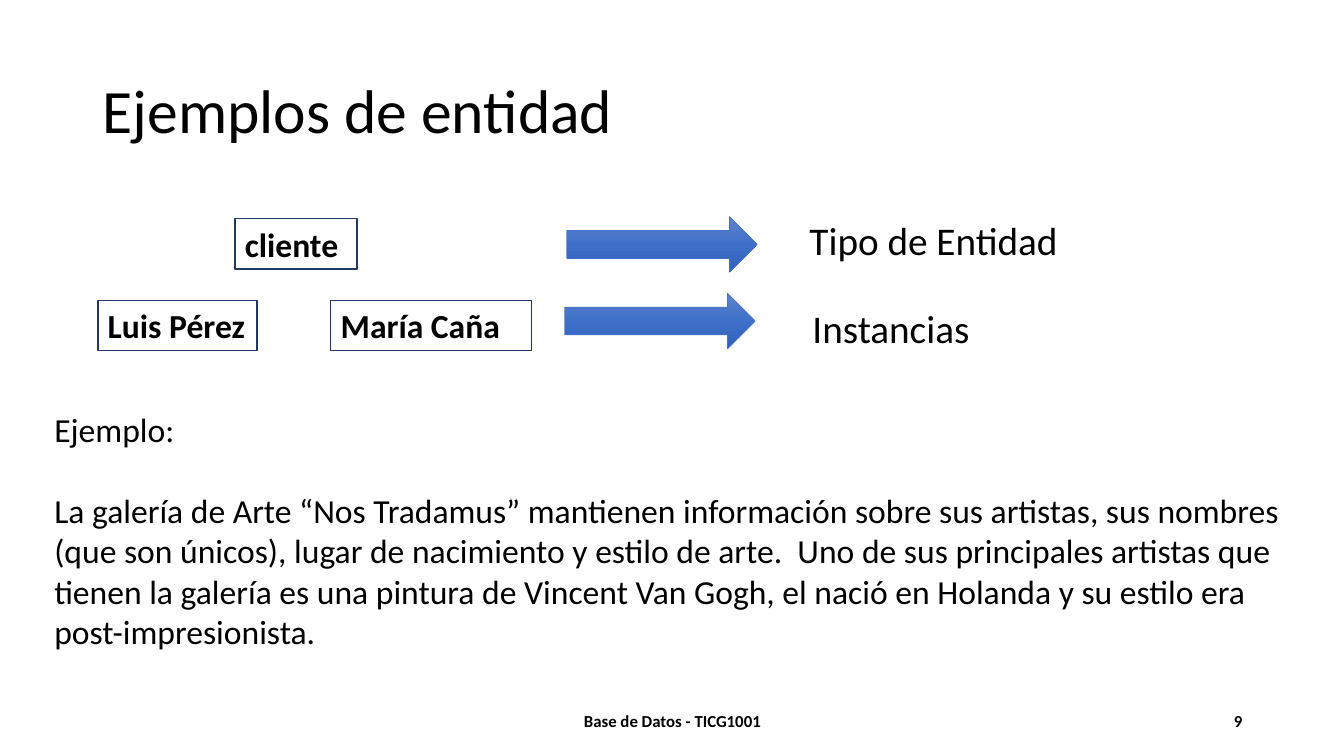
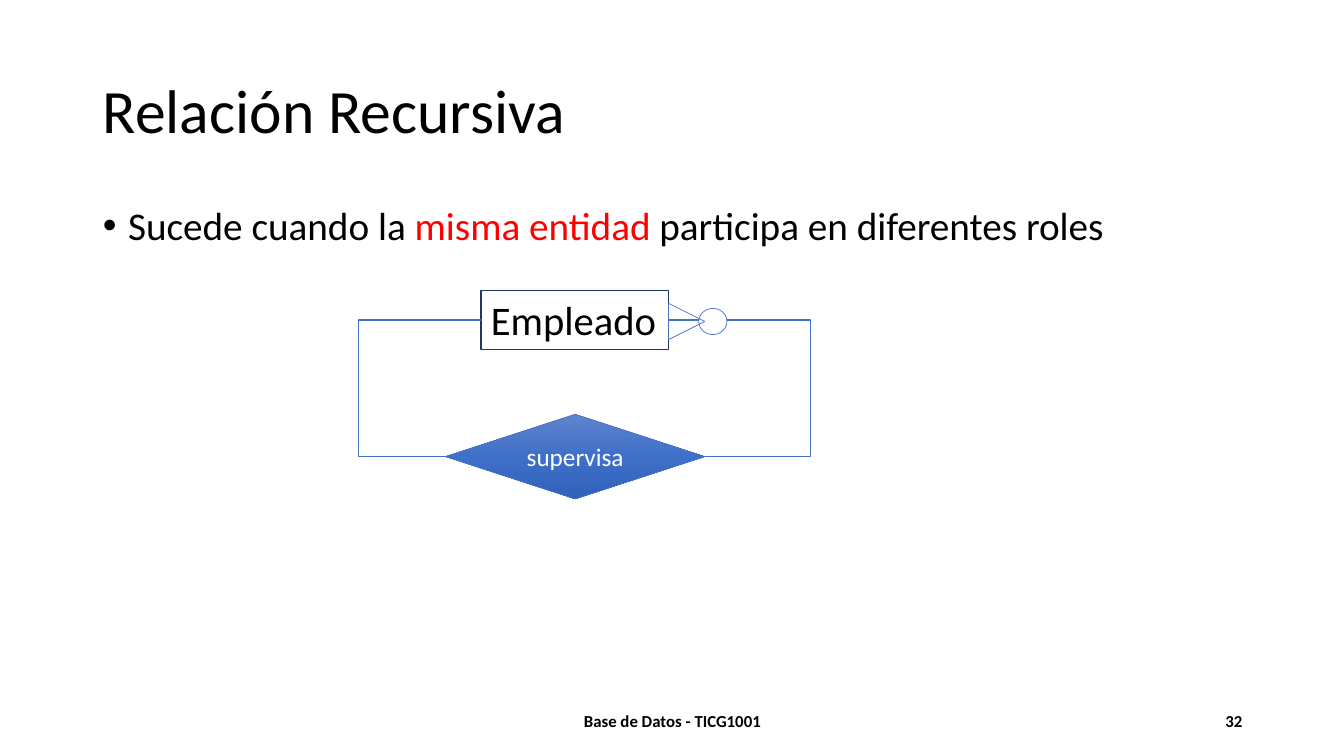
import pptx
import pptx.dml.color
import pptx.enum.shapes
import pptx.enum.text
import pptx.oxml
import pptx.oxml.ns
import pptx.util

PX = 9144  # EMU per px, 100 px to the inch
FONT = "Calibri"
COLORS = {
    "text": "000000",
    "paper": "FFFFFF",
    "accent": "FF0000",
    "border": "203864",
    "line": "4472C4",
    "grad_top": "6183CB",
    "grad_mid": "3E70CA",
    "grad_end": "3062BB",
}
GRADIENT = [(0, "grad_top"), (50, "grad_mid"), (100, "grad_end")]
FOOTER = "Base de Datos - TICG1001"

SHAPE = pptx.enum.shapes.MSO_SHAPE
ALIGN = pptx.enum.text.PP_ALIGN
ANCHOR = pptx.enum.text.MSO_ANCHOR
TITLE_ONLY, TITLE_AND_BODY = 5, 1


def rgb(name):
    return pptx.dml.color.RGBColor.from_string(COLORS[name])


def xml(tag, inner="", attrs=""):
    ns = pptx.oxml.ns.nsdecls("a")
    return pptx.oxml.parse_xml(f"<a:{tag} {ns} {attrs}>{inner}</a:{tag}>")


class Deck:
    """Holds the shared style and the current slide."""

    def __init__(self):
        self.prs = pptx.Presentation()
        self.prs.slide_width, self.prs.slide_height = 1333 * PX, 750 * PX
        self.slide = None

    # Slide frame: title, footer and page number
    def new_slide(self, layout, title, number):
        self.slide = self.prs.slides.add_slide(self.prs.slide_layouts[layout])
        sp = self.slide.shapes.title
        self.place(sp, 92, 40, 1150, 145)
        self.set_text(sp, [[(title, "text")]], 44, anchor=ANCHOR.MIDDLE, spacing=0.9)
        for text, x, w, align in [(FOOTER, 442, 450, ALIGN.CENTER),
                                  (number, 942, 300, ALIGN.RIGHT)]:
            self.text(text, x, 695, w, 40, 12, bold=True, align=align,
                      anchor=ANCHOR.MIDDLE)

    def place(self, sp, x, y, w, h):
        sp.left, sp.top, sp.width, sp.height = (v * PX for v in (x, y, w, h))

    # Each paragraph is a list of (text, colour) runs
    def set_text(self, sp, paragraphs, size, bold=False, align=ALIGN.LEFT,
                 anchor=ANCHOR.TOP, wrap=True, spacing=None, gap=0, bullet=False):
        tf = sp.text_frame
        tf.auto_size = pptx.enum.text.MSO_AUTO_SIZE.NONE
        tf.word_wrap, tf.vertical_anchor = wrap, anchor
        for i, runs in enumerate(paragraphs):
            p = tf.add_paragraph() if i else tf.paragraphs[0]
            p.alignment, p.line_spacing = align, spacing
            p.space_before = pptx.util.Pt(gap if i else 0)
            if bullet:
                pPr = p._p.get_or_add_pPr()
                pPr.set("marL", str(25 * PX))
                pPr.set("indent", str(-25 * PX))
                pPr.append(xml("buFont", attrs='typeface="Arial"'))
                pPr.append(xml("buChar", attrs='char="•"'))
            for text, color in runs:
                r = p.add_run()
                r.text = text
                r.font.name, r.font.size = FONT, pptx.util.Pt(size)
                r.font.bold, r.font.color.rgb = bold, rgb(color)

    def text(self, text, x, y, w, h, size, **style):
        sp = self.slide.shapes.add_textbox(*(v * PX for v in (x, y, w, h)))
        paragraphs = [[(line, "text")] for line in text.split("\n")]
        self.set_text(sp, paragraphs, size, **style)

    def body(self, runs, x, y, w, h, size):
        sp = self.slide.placeholders[1]
        self.place(sp, x, y, w, h)
        self.set_text(sp, [runs], size, spacing=0.9, bullet=True)

    def shape(self, kind, x, y, w, h, fill="paper", line="line", weight=0.5):
        sp = self.slide.shapes.add_shape(kind, *(v * PX for v in (x, y, w, h)))
        sp.shadow.inherit = False
        sp.line.color.rgb, sp.line.width = rgb(line), pptx.util.Pt(weight)
        if fill is None:
            sp.fill.background()
        elif fill == "gradient":
            self.gradient(sp)
        else:
            sp.fill.solid()
            sp.fill.fore_color.rgb = rgb(fill)
        return sp

    def gradient(self, sp):
        sp.fill.gradient()
        sp.fill.gradient_angle = 270  # top to bottom
        stops = sp._element.spPr.find(".//" + pptx.oxml.ns.qn("a:gsLst"))
        for gs in list(stops):
            stops.remove(gs)
        for pos, color in GRADIENT:
            stops.append(xml("gs", f'<a:srgbClr val="{COLORS[color]}"/>',
                             f'pos="{pos * 1000}"'))

    def entity(self, text, x, y, w, h, size, bold=False, wrap=True):
        sp = self.shape(SHAPE.RECTANGLE, x, y, w, h, line="border", weight=1)
        self.set_text(sp, [[(text, "text")]], size, bold=bold, wrap=wrap)
        return sp

    # Elbow between the same side of two shapes; bend is a share of its width
    def elbow(self, start, end, site, bend):
        kind = pptx.enum.shapes.MSO_CONNECTOR.ELBOW
        cxn = self.slide.shapes.add_connector(kind, 0, 0, 0, 0)
        cxn.begin_connect(start, site)
        cxn.end_connect(end, site)
        cxn.line.color.rgb, cxn.line.width = rgb("line"), pptx.util.Pt(1)
        spPr = cxn._element.spPr
        av = spPr.find(".//" + pptx.oxml.ns.qn("a:avLst"))
        av.append(xml("gd", attrs=f'name="adj1" fmla="val {round(bend * 100000)}"'))
        spPr.append(xml("effectLst"))


def entity_examples(deck):
    deck.new_slide(TITLE_ONLY, "Ejemplos de entidad", "9")
    # Entity type above its instances
    for name, x, y, w, wrap in [("cliente", 233, 217, 121, True),
                                ("Luis Pérez", 97, 298, 158, False),
                                ("María Caña", 328, 298, 199, True)]:
        deck.entity(name, x, y, w, 50, 24, bold=True, wrap=wrap)
    # Arrows and what they point to
    for label, x, y, w, arrow_x, arrow_y in [
            ("Tipo de Entidad", 793, 210, 269, 562, 215),
            ("Instancias", 796, 297, 178, 560, 291)]:
        deck.text(label, x, y, w, 57, 28, wrap=False)
        deck.shape(SHAPE.RIGHT_ARROW, arrow_x, arrow_y, 189, 55, "gradient")
    # Worked example
    deck.text("Ejemplo:\n"
              "La galería de Arte “Nos Tradamus” mantienen información sobre sus "
              "artistas, sus nombres (que son únicos), lugar de nacimiento y estilo "
              "de arte.  Uno de sus principales artistas que tienen la galería es "
              "una pintura de Vincent Van Gogh, el nació en Holanda y su estilo era "
              "post-impresionista.", 44, 401, 1252, 293, 24, gap=29)


def recursive_relation(deck):
    deck.new_slide(TITLE_AND_BODY, "Relación Recursiva", "32")
    deck.body([("Sucede cuando la ", "text"), ("misma entidad ", "accent"),
               ("participa en diferentes roles", "text")], 92, 200, 1150, 476, 28)
    # Entity and relationship
    employee = deck.entity("Empleado", 477, 288, 186, 59, 29, wrap=False)
    relation = deck.shape(SHAPE.DIAMOND, 442, 411, 257, 84, "gradient")
    deck.set_text(relation, [[("supervisa", "paper")]], 18, align=ALIGN.CENTER,
                  anchor=ANCHOR.MIDDLE)
    # Loop with its "zero or many" end: circle and crow's foot
    deck.elbow(employee, relation, site=3, bend=3.91)
    deck.shape(SHAPE.OVAL, 693, 306, 28, 26)
    deck.elbow(employee, relation, site=1, bend=3.47)
    foot = deck.shape(SHAPE.ISOSCELES_TRIANGLE, 663, 301, 36, 36, None)
    foot.rotation = 90


def main():
    deck = Deck()
    entity_examples(deck)
    recursive_relation(deck)
    deck.prs.save("out.pptx")


if __name__ == "__main__":
    main()
